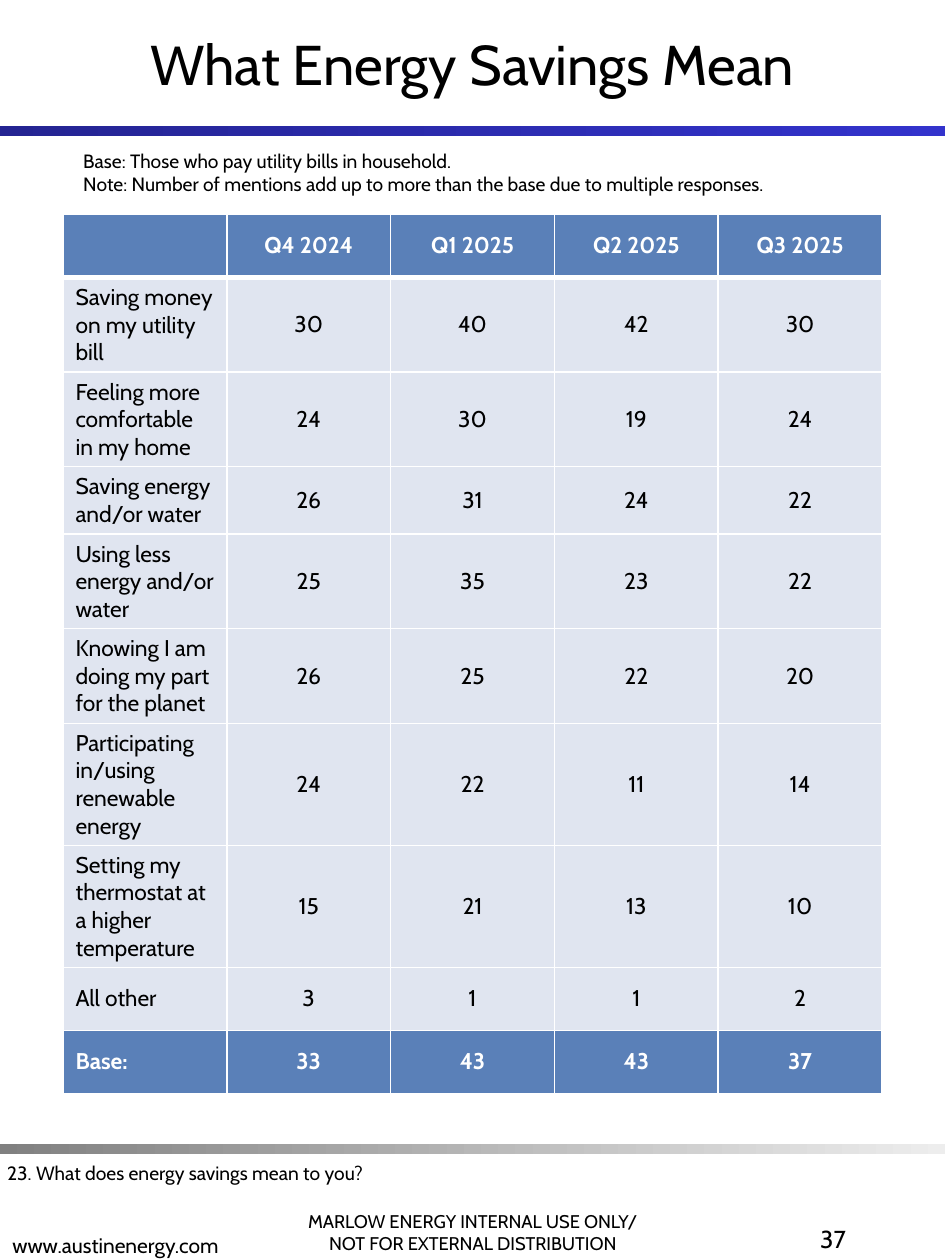
from lxml.etree import SubElement
from pptx import Presentation
from pptx.dml.color import RGBColor
from pptx.enum.shapes import MSO_SHAPE
from pptx.enum.text import MSO_ANCHOR, PP_ALIGN
from pptx.oxml.ns import qn
from pptx.util import Pt

FONT = "Cabin"
BLACK = RGBColor(0, 0, 0)
WHITE = RGBColor(255, 255, 255)
BLUE = RGBColor(0x5A, 0x80, 0xB8)
PALE = RGBColor(0xE0, 0xE5, 0xF0)
NAVY = RGBColor(0x24, 0x24, 0x92)
ROYAL = RGBColor(0x33, 0x33, 0xCC)
GRAY = RGBColor(0x80, 0x80, 0x80)
SILVER = RGBColor(0xED, 0xED, 0xED)

WIDTH, HEIGHT = 540, 720
COLUMN, ROW = 93.6, 36

ROWS = [
    ("", "Q4 2024", "Q1 2025", "Q2 2025", "Q3 2025"),
    ("Saving money on my utility bill", 30, 40, 42, 30),
    ("Feeling more comfortable in my home", 24, 30, 19, 24),
    ("Saving energy and/or water", 26, 31, 24, 22),
    ("Using less energy and/or water", 25, 35, 23, 22),
    ("Knowing I am doing my part for the planet", 26, 25, 22, 20),
    ("Participating in/using renewable energy", 24, 22, 11, 14),
    ("Setting my thermostat at a higher temperature", 15, 21, 13, 10),
    ("All other", 3, 1, 1, 2),
    ("Base:", 33, 43, 43, 37),
]


def write(frame, text, size=11, color=BLACK, bold=False, align=PP_ALIGN.LEFT):
    frame.text = text
    for line in frame.paragraphs:
        line.alignment = align
        line.font.name = FONT
        line.font.size = Pt(size)
        line.font.bold = bold
        line.font.color.rgb = color


def add_text(slide, text, left, top, width, height, anchor=MSO_ANCHOR.TOP, **style):
    box = slide.shapes.add_textbox(Pt(left), Pt(top), Pt(width), Pt(height))
    frame = box.text_frame
    frame.word_wrap = True
    frame.vertical_anchor = anchor
    write(frame, text, **style)


def add_band(slide, top, start, end):
    band = slide.shapes.add_shape(MSO_SHAPE.RECTANGLE, 0, Pt(top), Pt(WIDTH), Pt(6))
    band.shadow.inherit = False
    band.line.fill.background()
    band.fill.gradient()
    band.fill.gradient_angle = 0
    for stop, color, place in zip(band.fill.gradient_stops, (start, end), (0, 1)):
        stop.color.rgb = color
        stop.position = place


def set_edge(cell, side, width):
    props = cell._tc.get_or_add_tcPr()
    line = SubElement(props, qn(f"a:ln{side}"), w=str(Pt(width)))
    fill = SubElement(line, qn("a:solidFill"))
    SubElement(fill, qn("a:srgbClr"), val=str(WHITE))


def fill_cell(cell, value, row, col):
    strong = row in (0, len(ROWS) - 1)
    edges = {"L": 1, "R": 1, "T": 3 if row == 1 else 1, "B": 3 if row == 0 else 1}
    for side, width in edges.items():
        set_edge(cell, side, width)
    cell.fill.solid()
    cell.fill.fore_color.rgb = BLUE if strong else PALE
    cell.vertical_anchor = MSO_ANCHOR.MIDDLE
    write(cell.text_frame, str(value), size=13, bold=strong,
          color=WHITE if strong else BLACK,
          align=PP_ALIGN.CENTER if col else PP_ALIGN.LEFT)


def add_grid(slide, left, top):
    count, span = len(ROWS), len(ROWS[0])
    table = slide.shapes.add_table(
        count, span, Pt(left), Pt(top), Pt(COLUMN * span), Pt(ROW * count)).table
    for column in table.columns:
        column.width = Pt(COLUMN)
    for row, values in enumerate(ROWS):
        table.rows[row].height = Pt(ROW)
        for col, value in enumerate(values):
            fill_cell(table.cell(row, col), value, row, col)


def main():
    deck = Presentation()
    deck.slide_width, deck.slide_height = Pt(WIDTH), Pt(HEIGHT)
    slide = deck.slides.add_slide(deck.slide_layouts[6])

    add_band(slide, 72, NAVY, ROYAL)
    add_band(slide, 653.5, GRAY, SILVER)
    add_text(slide, "MARLOW ENERGY INTERNAL USE ONLY/\nNOT FOR EXTERNAL DISTRIBUTION",
             155.5, 672, 229.5, 48, anchor=MSO_ANCHOR.BOTTOM, size=10.5,
             align=PP_ALIGN.CENTER)
    add_text(slide, "www.austinenergy.com", 0, 674, 229.5, 48,
             anchor=MSO_ANCHOR.BOTTOM, size=12)
    add_text(slide, "What Energy Savings Mean", 0, 0, WIDTH, 72,
             anchor=MSO_ANCHOR.MIDDLE, size=32, align=PP_ALIGN.CENTER)
    add_text(slide, "37", 378, 696, 112.5, 48, size=14, align=PP_ALIGN.RIGHT)
    add_text(slide, "23. What does energy savings mean to you?", -3, 660, 493, 21)
    add_text(slide, "Base: Those who pay utility bills in household.\n"
             "Note: Number of mentions add up to more than the base due to multiple responses.",
             40.5, 81.5, 429, 34)
    add_grid(slide, 36, 122.5)
    deck.save("out.pptx")


if __name__ == "__main__":
    main()
